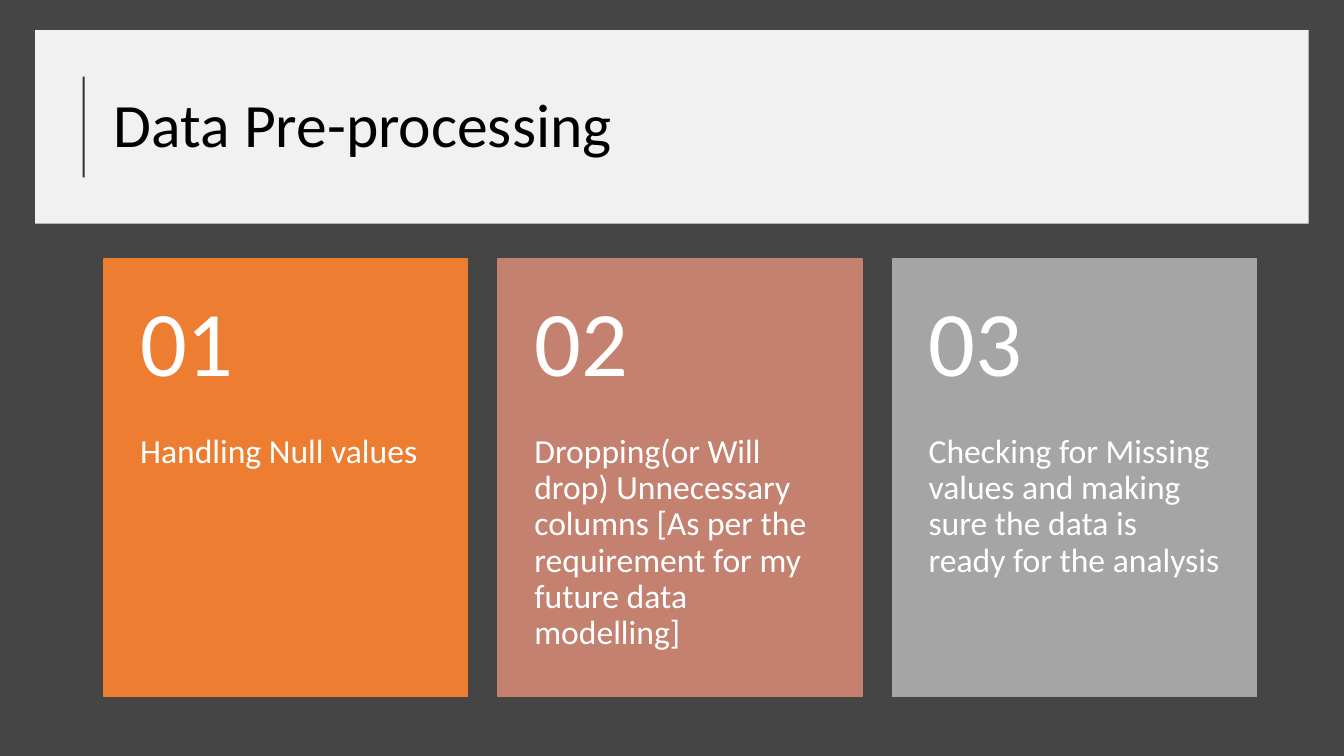
from dataclasses import dataclass

from lxml import etree
from pptx import Presentation
from pptx import util as u
from pptx.dml.color import RGBColor
from pptx.enum import shapes, text
from pptx.oxml.ns import qn


@dataclass(frozen=True)
class Theme:
    font: str = "Calibri"
    background: str = "454545"
    banner: str = "FFFFFF"
    ink: str = "000000"
    card_text: str = "FFFFFF"
    cards: tuple = ("ED7D31", "C48170", "A5A5A5")
    title_size: int = 44
    number_size: int = 66
    body_size: int = 24


class SlideBuilder:
    def __init__(self, slide, theme):
        self.slide = slide
        self.theme = theme
        slide.background.fill.solid()
        slide.background.fill.fore_color.rgb = RGBColor.from_string(theme.background)

    def set_alpha(self, shape, percent):
        color = shape.element.xpath(".//a:srgbClr")[0]
        etree.SubElement(color, qn("a:alpha"), val=str(percent * 1000))

    def rectangle(self, box, color, outlined=False):
        shape = self.slide.shapes.add_shape(
            shapes.MSO_SHAPE.RECTANGLE, *map(u.Inches, box))
        shape.shadow.inherit = False
        shape.fill.solid()
        shape.fill.fore_color.rgb = RGBColor.from_string(color)
        if outlined:
            shape.line.color.rgb = RGBColor.from_string(color)
            shape.line.width = u.Pt(1)
        else:
            shape.line.fill.background()
        return shape

    def line(self, start, end, color, width):
        connector = self.slide.shapes.add_connector(
            shapes.MSO_CONNECTOR.STRAIGHT, *map(u.Inches, start + end))
        connector.line.color.rgb = RGBColor.from_string(color)
        connector.line.width = u.Pt(width)
        etree.SubElement(connector.element.spPr, qn("a:effectLst"))
        return connector

    def fill_text(self, shape, wording, size, color, anchor):
        frame = shape.text_frame
        frame.word_wrap = True
        frame.auto_size = text.MSO_AUTO_SIZE.NONE
        frame.vertical_anchor = anchor
        frame.text = wording
        paragraph = frame.paragraphs[0]
        paragraph.alignment = text.PP_ALIGN.LEFT
        paragraph.line_spacing = 0.9
        paragraph.font.name = self.theme.font
        paragraph.font.size = u.Pt(size)
        paragraph.font.color.rgb = RGBColor.from_string(color)
        return frame

    def title(self, box, wording):
        shape = self.slide.shapes.title
        shape.left, shape.top, shape.width, shape.height = map(u.Inches, box)
        self.fill_text(shape, wording, self.theme.title_size, self.theme.ink,
                       text.MSO_ANCHOR.MIDDLE)
        shape.element.getparent().append(shape.element)

    def text_box(self, box, wording, size, anchor, top_inset, bottom_inset):
        shape = self.slide.shapes.add_textbox(*map(u.Inches, box))
        frame = self.fill_text(shape, wording, size, self.theme.card_text, anchor)
        frame.margin_left = frame.margin_right = u.Inches(0.36)
        frame.margin_top = u.Inches(top_inset)
        frame.margin_bottom = u.Inches(bottom_inset)

    def card(self, left, number, wording, color):
        top, width, height, number_height = 2.57, 3.61, 4.34, 1.74
        self.rectangle((left, top, width, height), color, outlined=True)
        self.text_box((left, top + number_height, width, height - number_height),
                      wording, self.theme.body_size, text.MSO_ANCHOR.TOP, 0, 0.36)
        self.text_box((left, top, width, number_height), f"{number:02}",
                      self.theme.number_size, text.MSO_ANCHOR.MIDDLE, 0.18, 0.18)


def main():
    theme = Theme()
    presentation = Presentation()
    presentation.slide_width = u.Inches(13.33)
    presentation.slide_height = u.Inches(7.5)
    slide = presentation.slides.add_slide(presentation.slide_layouts[5])
    builder = SlideBuilder(slide, theme)

    banner = builder.rectangle((0.35, 0.3, 12.63, 1.92), theme.banner)
    builder.set_alpha(banner, 93)
    builder.title((1.03, 0.53, 11.42, 1.47), "Data Pre-processing")
    accent = builder.line((0.83, 1.76), (0.83, 0.76), theme.ink, 1.5)
    builder.set_alpha(accent, 80)

    steps = (
        "Handling Null values",
        "Dropping(or Will drop) Unnecessary columns "
        "[As per the requirement for my future data modelling]",
        "Checking for Missing values and making sure the data is "
        "ready for the analysis",
    )
    first_left, card_pitch = 1.03, 3.91
    for index, (wording, color) in enumerate(zip(steps, theme.cards)):
        builder.card(first_left + index * card_pitch, index + 1, wording, color)

    presentation.save("out.pptx")


if __name__ == "__main__":
    main()
